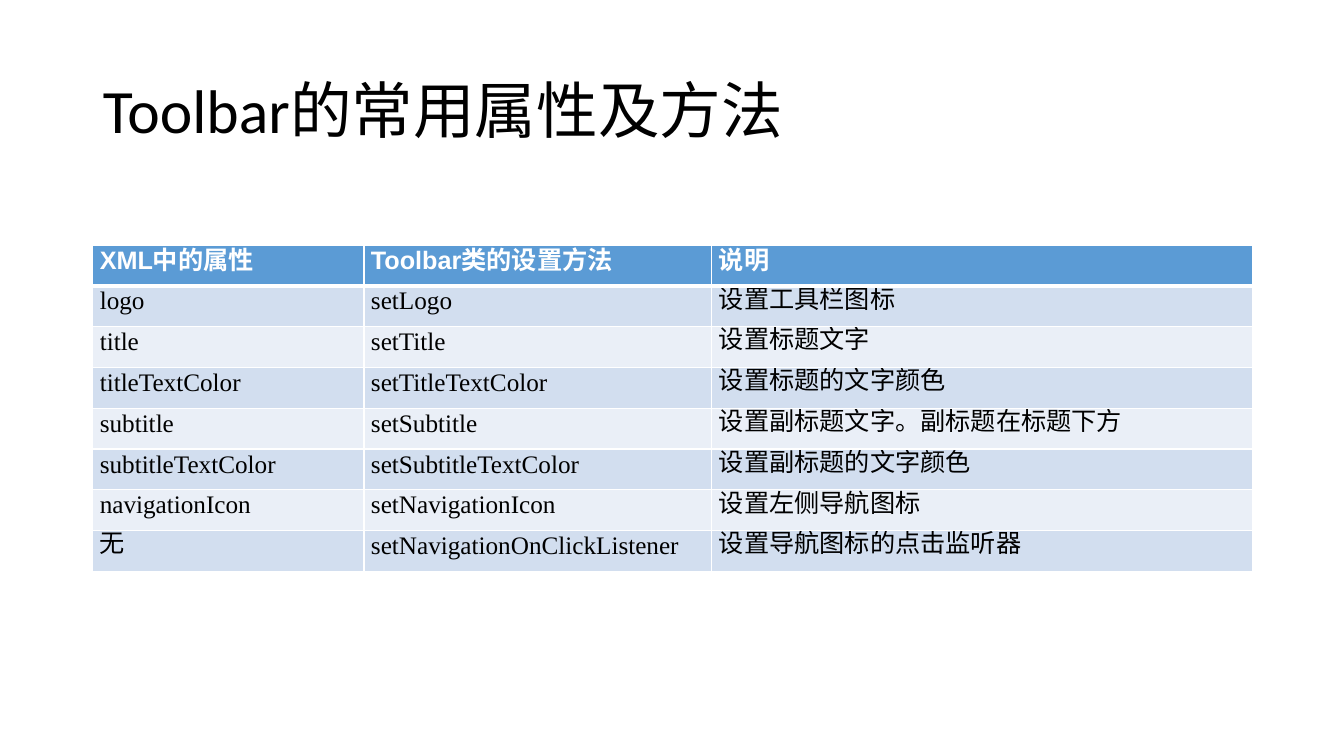
import pptx
import pptx.util
import pptx.dml.color
import pptx.enum.text
import lxml.etree
import pptx.oxml.ns

TITLE = "Toolbar的常用属性及方法"
ROWS = [
    ("XML中的属性", "Toolbar类的设置方法", "说明"),
    ("logo", "setLogo", "设置工具栏图标"),
    ("title", "setTitle", "设置标题文字"),
    ("titleTextColor", "setTitleTextColor", "设置标题的文字颜色"),
    ("subtitle", "setSubtitle", "设置副标题文字。副标题在标题下方"),
    ("subtitleTextColor", "setSubtitleTextColor", "设置副标题的文字颜色"),
    ("navigationIcon", "setNavigationIcon", "设置左侧导航图标"),
    ("无", "setNavigationOnClickListener", "设置导航图标的点击监听器"),
]
COLUMN_WIDTHS = (2.69, 3.45, 5.36)
ROW_HEIGHT = 0.405
LEFT, WIDTH = 0.92, 11.5
TITLE_TOP, TITLE_HEIGHT = 0.4, 1.45
TABLE_TOP = 2.43
HEADER_FILL, BAND_FILLS = "5B9BD5", ("EAEFF7", "D2DEEF")
BORDER_COLOR = "FFFFFF"

Inches, Pt = pptx.util.Inches, pptx.util.Pt
ALIGN, ANCHOR = pptx.enum.text.PP_ALIGN, pptx.enum.text.MSO_ANCHOR

TITLE_FONT = {"name": "Calibri", "size": Pt(44), "bold": False}
HEADER_FONT = {"name": "Arial", "size": Pt(18), "bold": True}
BODY_FONT = {"name": "Times New Roman", "size": Pt(18), "bold": False}
TITLE_PARAGRAPH = {"alignment": ALIGN.LEFT, "line_spacing": 0.9}
HEADER_PARAGRAPH = {"alignment": ALIGN.JUSTIFY, "line_spacing": Pt(15.6)}
BODY_PARAGRAPH = {"alignment": ALIGN.LEFT, "line_spacing": Pt(13)}
CELL_FORMAT = {
    "vertical_anchor": ANCHOR.MIDDLE,
    "margin_left": Inches(0.07),
    "margin_right": Inches(0.07),
    "margin_top": 0,
    "margin_bottom": 0,
}


def rgb(color):
    return pptx.dml.color.RGBColor.from_string(color)


def apply(target, values):
    for name, value in values.items():
        setattr(target, name, value)


def write(text_frame, text, paragraph_format, font_format, color):
    text_frame.text = text
    paragraph = text_frame.paragraphs[0]
    apply(paragraph, paragraph_format)
    font = paragraph.runs[0].font
    apply(font, font_format)
    font.color.rgb = rgb(color)


def add_borders(cell, widths):
    properties = cell._tc.get_or_add_tcPr()
    qn = pptx.oxml.ns.qn
    for position, (side, width) in enumerate(widths.items()):
        line = lxml.etree.Element(qn(f"a:ln{side}"), w=str(Pt(width)))
        fill = lxml.etree.SubElement(line, qn("a:solidFill"))
        lxml.etree.SubElement(fill, qn("a:srgbClr"), val=BORDER_COLOR)
        properties.insert(position, line)


def add_title(slide):
    title = slide.shapes.title
    apply(title, {
        "left": Inches(LEFT), "top": Inches(TITLE_TOP),
        "width": Inches(WIDTH), "height": Inches(TITLE_HEIGHT),
    })
    apply(title.text_frame, {
        "vertical_anchor": ANCHOR.MIDDLE,
        "word_wrap": True,
        "auto_size": pptx.enum.text.MSO_AUTO_SIZE.NONE,
    })
    write(title.text_frame, TITLE, TITLE_PARAGRAPH, TITLE_FONT, "000000")


def add_attribute_table(slide):
    table = slide.shapes.add_table(
        len(ROWS), len(COLUMN_WIDTHS), Inches(LEFT), Inches(TABLE_TOP),
        Inches(WIDTH), Inches(ROW_HEIGHT * len(ROWS)),
    ).table
    for column, width in zip(table.columns, COLUMN_WIDTHS):
        column.width = Inches(width)
    for row_index, texts in enumerate(ROWS):
        table.rows[row_index].height = Inches(ROW_HEIGHT)
        header = row_index == 0
        fill = HEADER_FILL if header else BAND_FILLS[row_index % 2]
        style = ((HEADER_PARAGRAPH, HEADER_FONT, "FFFFFF") if header
                 else (BODY_PARAGRAPH, BODY_FONT, "000000"))
        borders = {"L": 1, "R": 1, "T": 3 if row_index == 1 else 1,
                   "B": 3 if header else 1}
        for column_index, text in enumerate(texts):
            cell = table.cell(row_index, column_index)
            apply(cell, CELL_FORMAT)
            cell.fill.solid()
            cell.fill.fore_color.rgb = rgb(fill)
            write(cell.text_frame, text, *style)
            add_borders(cell, borders)


def main():
    presentation = pptx.Presentation()
    presentation.slide_width = Inches(13.33)
    presentation.slide_height = Inches(7.5)
    slide = presentation.slides.add_slide(presentation.slide_layouts[5])
    add_title(slide)
    add_attribute_table(slide)
    presentation.save("out.pptx")


if __name__ == "__main__":
    main()
